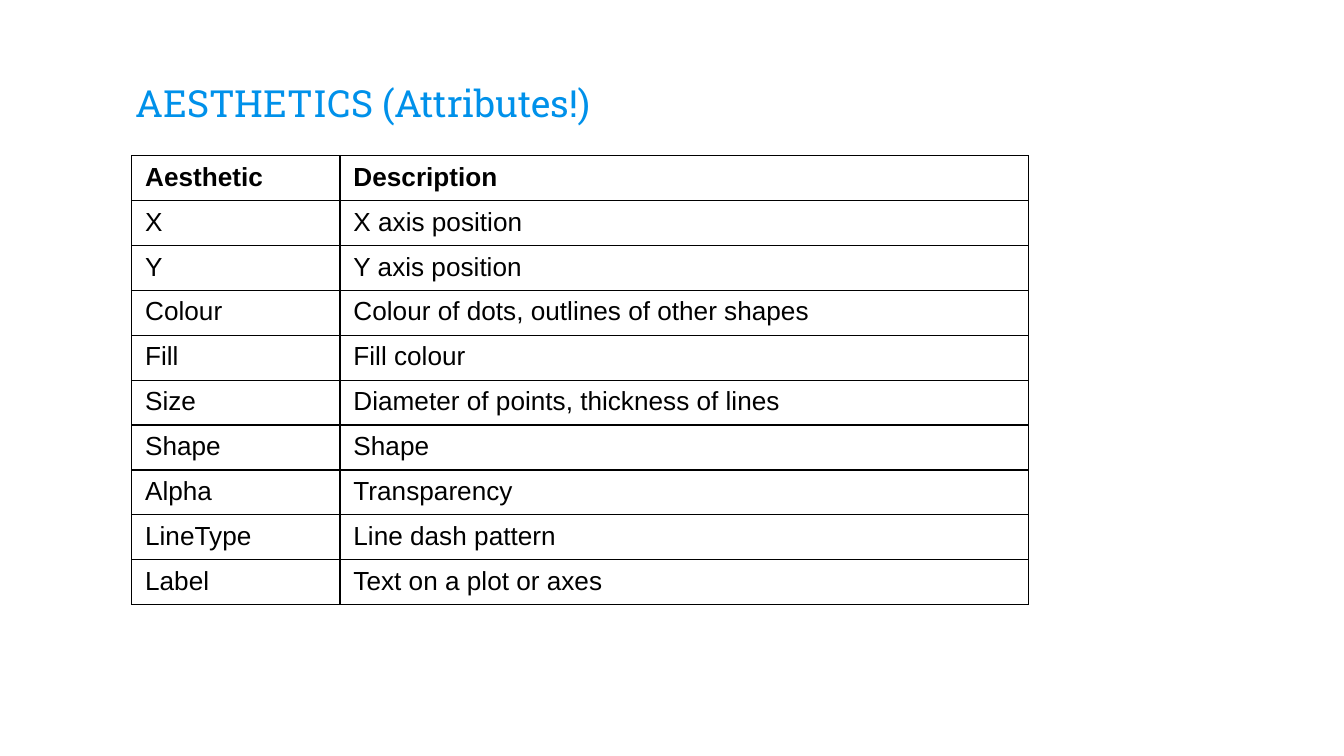
from lxml import etree
from pptx import Presentation
from pptx.dml.color import RGBColor
from pptx.enum.text import MSO_ANCHOR
from pptx.oxml.ns import qn
from pptx.util import Inches, Pt

TOP = MSO_ANCHOR.TOP
BLUE = RGBColor(0x00, 0x91, 0xEA)
BLACK = RGBColor(0x00, 0x00, 0x00)

TITLE = "AESTHETICS (Attributes!)"
AESTHETICS = [
    ("Aesthetic", "Description"),
    ("X", "X axis position"),
    ("Y", "Y axis position"),
    ("Colour", "Colour of dots, outlines of other shapes"),
    ("Fill", "Fill colour"),
    ("Size", "Diameter of points, thickness of lines"),
    ("Shape", "Shape"),
    ("Alpha", "Transparency"),
    ("LineType", "Line dash pattern"),
    ("Label", "Text on a plot or axes"),
]
COLUMN_WIDTHS = (1.55, 5.12)
# Minimum heights; each row grows to fit its line of text.
ROW_HEIGHTS = (0.24, 0.24, 0.22, 0.2, 0.26, 0.24, 0.22, 0.2, 0.19, 0.17)
TABLE_LEFT, TABLE_TOP, TABLE_HEIGHT = 0.98, 1.16, 3.33
BORDER_WIDTH = Pt(0.75)


def style_text(frame, font_name, size, color, bold=False):
    for run in frame.paragraphs[0].runs:
        run.font.name = font_name
        run.font.size = Pt(size)
        run.font.color.rgb = color
        run.font.bold = bold


def add_borders(cell):
    properties = cell._tc.get_or_add_tcPr()
    for position, side in enumerate(("a:lnL", "a:lnR", "a:lnT", "a:lnB")):
        line = etree.Element(qn(side), w=str(BORDER_WIDTH))
        fill = etree.SubElement(line, qn("a:solidFill"))
        etree.SubElement(fill, qn("a:srgbClr"), val=str(BLACK))
        properties.insert(position, line)


def add_title(slide):
    title = slide.shapes.add_textbox(
        Inches(0.91), Inches(0.5), Inches(7.68), Inches(0.82))
    frame = title.text_frame
    frame.word_wrap = True
    frame.vertical_anchor = TOP
    frame.margin_left = frame.margin_right = Inches(0.1)
    frame.margin_top = frame.margin_bottom = Inches(0.1)
    frame.text = TITLE
    style_text(frame, "Roboto Slab", 20, BLUE)


def add_aesthetics_table(slide):
    table_frame = slide.shapes.add_table(
        len(AESTHETICS), len(COLUMN_WIDTHS),
        Inches(TABLE_LEFT), Inches(TABLE_TOP),
        Inches(sum(COLUMN_WIDTHS)), Inches(TABLE_HEIGHT))
    table = table_frame.table
    table.horz_banding = False
    for column, width in zip(table.columns, COLUMN_WIDTHS):
        column.width = Inches(width)
    for row_index, entry in enumerate(AESTHETICS):
        table.rows[row_index].height = Inches(ROW_HEIGHTS[row_index])
        for column_index, wording in enumerate(entry):
            cell = table.cell(row_index, column_index)
            cell.text_frame.text = wording
            style_text(cell.text_frame, "Arial", 14, BLACK, bold=row_index == 0)
            cell.fill.background()
            add_borders(cell)
    table_frame.height = Inches(TABLE_HEIGHT)


def main():
    deck = Presentation()
    deck.slide_width = Inches(10)
    deck.slide_height = deck.slide_width * 9 // 16
    slide = deck.slides.add_slide(deck.slide_layouts[6])
    add_title(slide)
    add_aesthetics_table(slide)
    deck.save("out.pptx")


if __name__ == "__main__":
    main()
